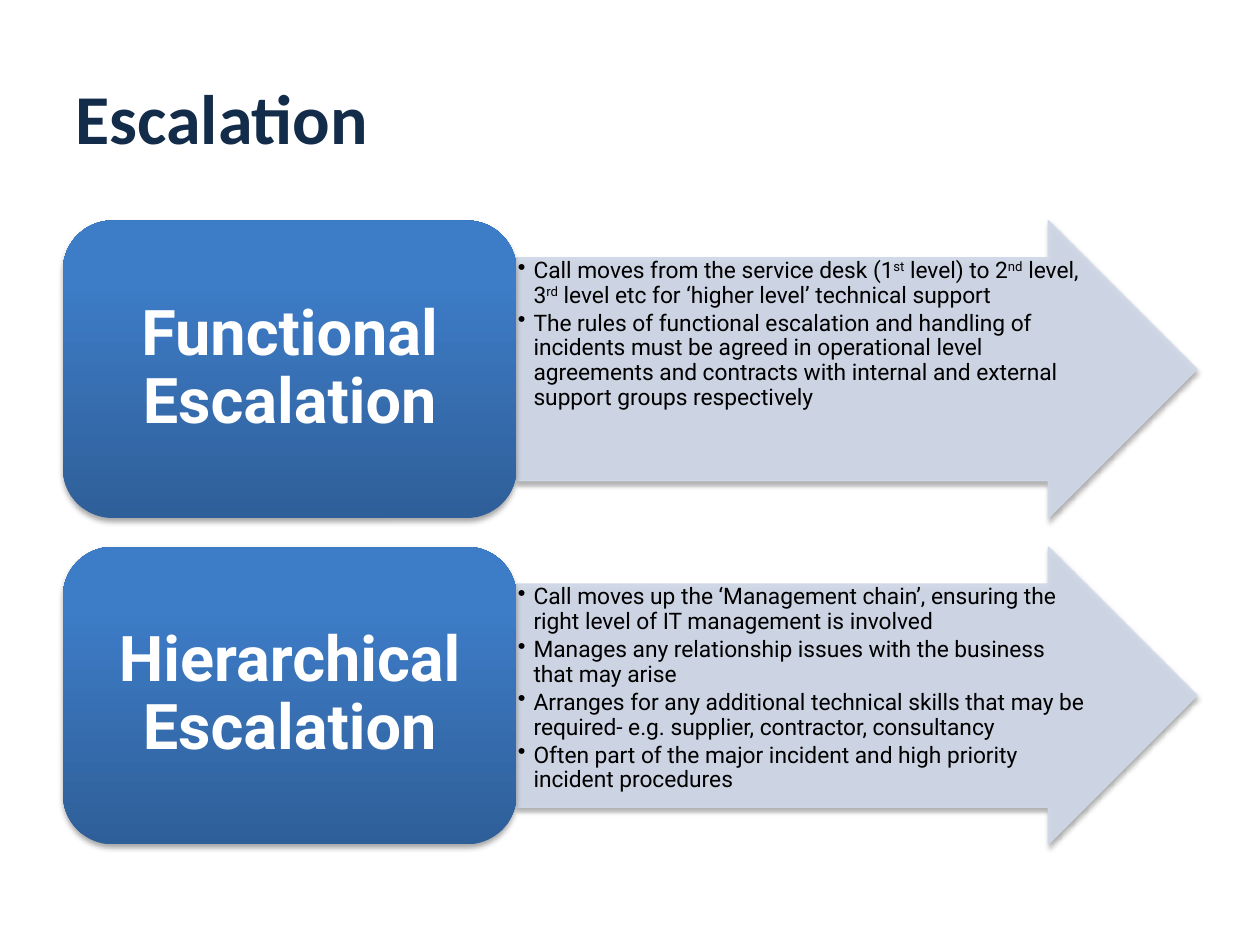
from lxml.etree import SubElement
from pptx import Presentation
from pptx.dml.color import RGBColor
from pptx.enum.shapes import MSO_SHAPE
from pptx.enum.text import MSO_ANCHOR, PP_ALIGN
from pptx.oxml.ns import qn
from pptx.util import Pt

NAVY = RGBColor(0x13, 0x2C, 0x4A)
BLACK = RGBColor(0, 0, 0)
WHITE = RGBColor(0xFF, 0xFF, 0xFF)
DARK = RGBColor(0x2F, 0x5F, 0x99)
BLUE = RGBColor(0x3D, 0x7C, 0xC7)
PALE = RGBColor(0xD0, 0xD8, 0xE8)

LEFT, TOP = 36, 126
BOX, ARROW = 259.2, 388.8
HIGH, STEP = 170, 186.5

ROWS = [
    ("Functional Escalation", [
        "Call moves from the service desk (1|st| level) to 2|nd| level, "
        "3|rd| level etc for ‘higher level’ technical support",
        "The rules of functional escalation and handling of incidents must be "
        "agreed in operational level agreements and contracts with internal "
        "and external support groups respectively",
    ]),
    ("Hierarchical Escalation", [
        "Call moves up the ‘Management chain’, ensuring the right level of "
        "IT management is involved",
        "Manages any relationship issues with the business that may arise",
        "Arranges for any additional technical skills that may be required- "
        "e.g. supplier, contractor, consultancy",
        "Often part of the major incident and high priority incident "
        "procedures",
    ]),
]


def write(shape, lines, font, size, color, bold=False, align=PP_ALIGN.LEFT,
          anchor=MSO_ANCHOR.MIDDLE, inset=None, space=None, bullet=False):
    """Fill a shape with paragraphs; text between bars is superscript."""
    frame = shape.text_frame
    frame.word_wrap = True
    frame.vertical_anchor = anchor
    if inset:
        frame.margin_left = frame.margin_right = Pt(inset[0])
        frame.margin_top = frame.margin_bottom = Pt(inset[1])
    for i, line in enumerate(lines):
        para = frame.add_paragraph() if i else frame.paragraphs[0]
        para.alignment = align
        para.line_spacing = space
        if bullet:
            para.space_after = Pt(2)
            props = para._p.get_or_add_pPr()
            props.set("marL", str(Pt(9)))
            props.set("indent", str(Pt(-9)))
            SubElement(props, qn("a:buChar"), char="•")
        for j, part in enumerate(line.split("|")):
            run = para.add_run()
            run.text = part
            run.font.name, run.font.size = font, Pt(size)
            run.font.bold = bold
            run.font.color.rgb = color
            if j % 2:
                run._r.get_or_add_rPr().set("baseline", "30000")


def add_block(kind, left, top, width):
    """Add a preset shape with a soft shadow below it."""
    shape = slide.shapes.add_shape(kind, Pt(left), Pt(top), Pt(width), Pt(HIGH))
    shape.shadow.inherit = False
    effects = shape._element.spPr.find(qn("a:effectLst"))
    shade = SubElement(effects, qn("a:outerShdw"), blurRad=str(Pt(3.1)),
                       dist=str(Pt(1.8)), dir="5400000", rotWithShape="0")
    color = SubElement(shade, qn("a:srgbClr"), val="000000")
    SubElement(color, qn("a:alpha"), val="35000")
    return shape


deck = Presentation()
deck.slide_width, deck.slide_height = Pt(720), Pt(540)
slide = deck.slides.add_slide(deck.slide_layouts[5])

title = slide.shapes.title
title.left, title.top = Pt(LEFT), Pt(21.6)
title.width, title.height = Pt(648), Pt(90)
write(title, ["Escalation"], "Calibri", 40, NAVY, bold=True)

for i, (name, points) in enumerate(ROWS):
    top = TOP + i * STEP

    arrow = add_block(MSO_SHAPE.RIGHT_ARROW, LEFT + BOX, top, ARROW)
    arrow.adjustments[0] = 0.75
    arrow.adjustments[1] = 0.5
    arrow.fill.solid()
    arrow.fill.fore_color.rgb = PALE
    arrow.line.color.rgb = PALE
    arrow.line.width = Pt(0.75)
    for color in arrow._element.spPr.findall(".//" + qn("a:solidFill")):
        SubElement(color[0], qn("a:alpha"), val="90000")
    write(arrow, points, "Roboto", 13, BLACK, anchor=MSO_ANCHOR.TOP,
          inset=(0.7, 0.7), space=0.9, bullet=True)

    box = add_block(MSO_SHAPE.ROUNDED_RECTANGLE, LEFT, top, BOX)
    box.fill.gradient()
    box.fill.gradient_angle = 90
    for stop, color, place in zip(box.fill.gradient_stops, (DARK, BLUE), (0, 0.8)):
        stop.color.rgb = color
        stop.position = place
    box.line.fill.background()
    write(box, [name], "Roboto", 36, WHITE, bold=True, align=PP_ALIGN.CENTER,
          inset=(10.8, 5.4), space=0.9)

deck.save("out.pptx")
